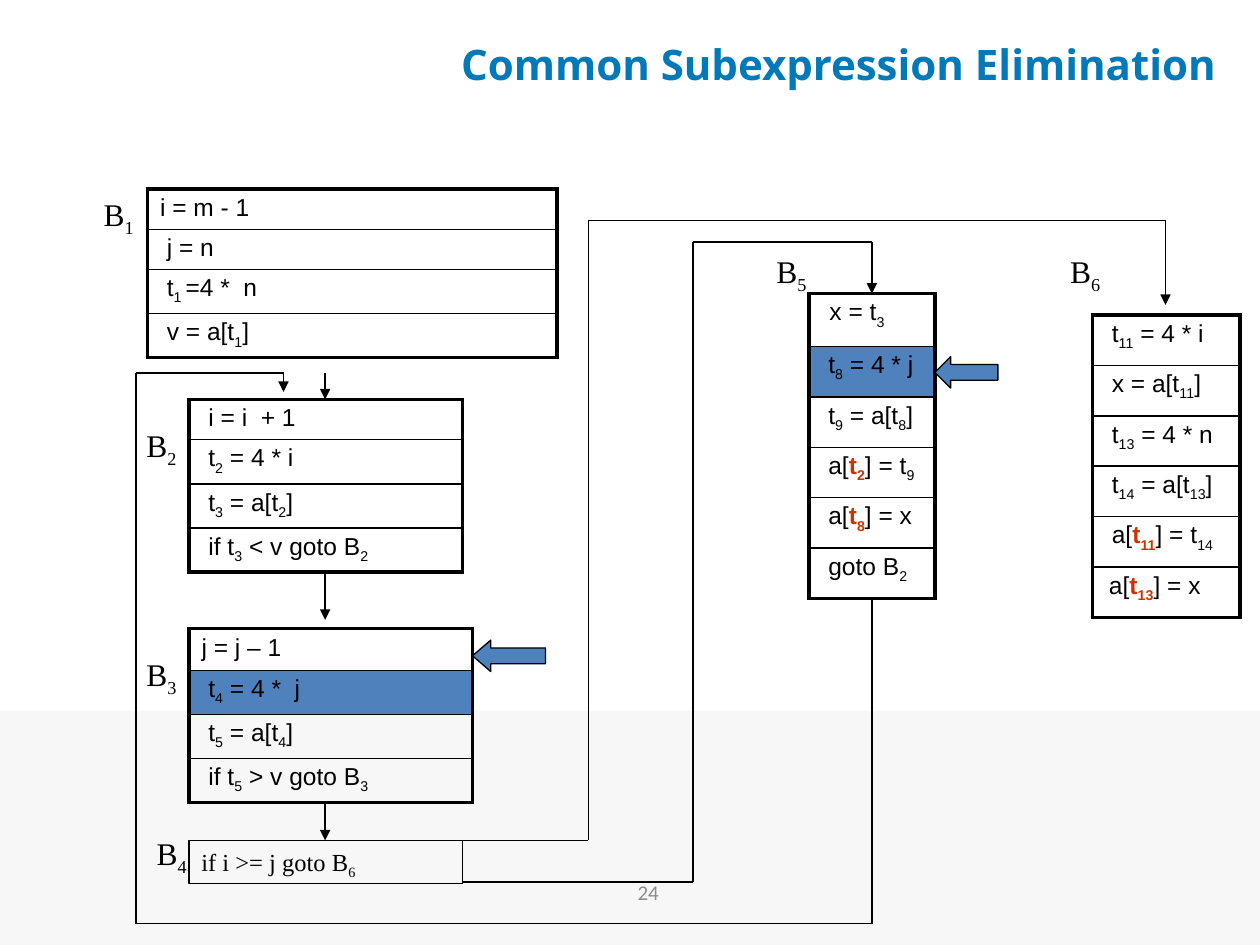
"""Build the flow graph slide on common subexpression elimination."""
from lxml import etree
from pptx import Presentation
from pptx.dml.color import RGBColor
from pptx.enum.shapes import MSO_CONNECTOR, MSO_SHAPE
from pptx.enum.text import MSO_ANCHOR, PP_ALIGN
from pptx.oxml.ns import qn
from pptx.util import Inches, Pt

STRAIGHT = MSO_CONNECTOR.STRAIGHT
RECTANGLE, LEFT_ARROW = MSO_SHAPE.RECTANGLE, MSO_SHAPE.LEFT_ARROW
TOP, MIDDLE = MSO_ANCHOR.TOP, MSO_ANCHOR.MIDDLE
LEFT, CENTER, RIGHT = PP_ALIGN.LEFT, PP_ALIGN.CENTER, PP_ALIGN.RIGHT

BLACK = RGBColor(0x00, 0x00, 0x00)
WHITE = RGBColor(0xFF, 0xFF, 0xFF)
PANEL = RGBColor(0xF7, 0xF7, 0xF7)
GREY = RGBColor(0x8C, 0x8C, 0x8C)
TITLE_BLUE = RGBColor(0x00, 0x79, 0xB8)
MARK_BLUE = RGBColor(0x4F, 0x81, 0xBD)
RED = RGBColor(0xCC, 0x33, 0x00)
SANS, SERIF = "Arial", "Times New Roman"
THIN, INNER, OUTER = 0.75, 1, 2.25
CELL_MARGIN = 0.04

SUBSCRIPT, REUSED = "~", "^"

BLOCKS = [
    dict(at=(1.17, 1.5), width=3.25, rows=[0.32, 0.32, 0.35, 0.35], white=(),
         code=["i = m - 1", " j = n", " t~1 ~=4 *  n", " v = a[t~1~]"]),
    dict(at=(1.5, 3.17), width=2.17, rows=[0.32] + [0.35] * 3, white=(2,),
         code=[" i = i  + 1", " t~2~ = 4 * i", " t~3~ = a[t~2~]",
               " if t~3~ < v goto B~2~"]),
    dict(at=(1.5, 4.99), width=2.25, rows=[0.33] + [0.35] * 3, white=(),
         code=["j = j – 1", " t~4~ = 4 *  j", " t~5~ = a[t~4~]",
               " if t~5~ > v goto B~3~"]),
    dict(at=(6.42, 2.33), width=1, rows=[0.42] + [0.4] * 5, white=(0,),
         code=["~  ~x = t~3~", " t~8~ = 4 * j", " t~9~ = a[t~8~]",
               " a[^t~2~^] = t~9~", " a[^t~8~^] = x", " goto B~2~"]),
    dict(at=(8.67, 2.5), width=1.17, rows=[0.4] * 6, white=(),
         code=[" t~11~ = 4 * i", " x = a[t~11~]", " t~13~ = 4 * n",
               " t~14~ = a[t~13~]", " a[^t~11~^] = t~14~",
               "~ ~a[^t~13~^] = x"]),
]
BRANCH = ("if i >= j goto B~6~", (1.5, 6.67, 2.17, 0.34))
LABELS = [(0.33, 1.5), (0.67, 3.33), (0.67, 5.15),
          (0.75, 6.57), (5.67, 1.95), (8, 1.95)]
HIGHLIGHTS = [(6.42, 2.75, 1, 0.4), (1.5, 5.32, 2.25, 0.35)]
POINTERS = [((3.75, 5.08, 0.58, 0.25), 0.58), ((7.42, 2.83, 0.5, 0.25), 0.5)]
ROUTES = [
    [(2.58, 2.96), (2.58, 3.17)],
    [(2.58, 4.54), (2.58, 4.92)],
    [(2.58, 6.37), (2.58, 6.67)],
    [(3.67, 6.67), (4.67, 6.67), (4.67, 1.75), (9.25, 1.75), (9.25, 2.42)],
    [(3.67, 7), (5.5, 7), (5.5, 1.92), (6.92, 1.92), (6.92, 2.33)],
    [(6.92, 4.75), (6.92, 7.33), (1.08, 7.33), (1.08, 2.96),
     (2.25, 2.96), (2.25, 3.11)],
]


def write(frame, text, size, font, color=BLACK, bold=False, align=LEFT):
    """Write marked-up text as runs, lowering subscripts and marking reused terms."""
    para = frame.paragraphs[0]
    para.alignment = align
    for i, part in enumerate(text.split(REUSED)):
        reused = i % 2 == 1
        for j, piece in enumerate(part.split(SUBSCRIPT)):
            if not piece:
                continue
            span = para.add_run()
            span.text = piece
            span.font.size, span.font.name = Pt(size), font
            span.font.bold = bold or reused
            span.font.color.rgb = RED if reused else color
            if j % 2:
                span.font._element.set("baseline", "-25000")


def add_text(page, text, at, size, font, anchor=TOP, **style):
    """Add a wrapped text box."""
    box = page.shapes.add_textbox(*map(Inches, at))
    box.text_frame.word_wrap = True
    box.text_frame.vertical_anchor = anchor
    write(box.text_frame, text, size, font, **style)


def add_box(page, kind, at, fill=None, outlined=True):
    """Add a preset shape with a flat fill and a thin outline."""
    box = page.shapes.add_shape(kind, *map(Inches, at))
    box.shadow.inherit = False
    if fill is None:
        box.fill.background()
    else:
        box.fill.solid()
        box.fill.fore_color.rgb = fill
    if outlined:
        box.line.color.rgb, box.line.width = BLACK, Pt(THIN)
    else:
        box.line.fill.background()
    return box


def add_border(cell, side, points):
    """Draw one black border of a table cell."""
    line = etree.SubElement(cell._tc.get_or_add_tcPr(), qn("a:" + side),
                            w=str(Pt(points)))
    fill = etree.SubElement(line, qn("a:solidFill"))
    etree.SubElement(fill, qn("a:srgbClr"), val=str(BLACK))


def add_block(page, at, width, rows, code, white):
    """Add a basic block as a one-column table."""
    size = (width, sum(rows))
    table = page.shapes.add_table(len(rows), 1, *map(Inches, at + size)).table
    table.first_row = table.horz_banding = False
    last = len(rows) - 1
    for i, (height, text) in enumerate(zip(rows, code)):
        table.rows[i].height = Inches(height)
        cell = table.cell(i, 0)
        cell.margin_top = cell.margin_bottom = Inches(CELL_MARGIN)
        write(cell.text_frame, text, 14, SANS)
        add_border(cell, "lnL", OUTER)
        add_border(cell, "lnR", OUTER)
        add_border(cell, "lnT", OUTER if i == 0 else INNER)
        add_border(cell, "lnB", OUTER if i == last else INNER)
        if i in white:
            cell.fill.solid()
            cell.fill.fore_color.rgb = WHITE
        else:
            cell.fill.background()


def add_route(page, points):
    """Join the points with lines and put an arrowhead on the last one."""
    for start, end in zip(points, points[1:]):
        line = page.shapes.add_connector(STRAIGHT, *map(Inches, start + end))
        line.line.color.rgb, line.line.width = BLACK, Pt(THIN)
        if end == points[-1]:
            etree.SubElement(line.line._get_or_add_ln(), qn("a:tailEnd"),
                             type="triangle")
        etree.SubElement(line._element.spPr, qn("a:effectLst"))


def main():
    """Assemble and save the slide."""
    deck = Presentation()
    deck.slide_width, deck.slide_height = Inches(10), Inches(7.5)
    page = deck.slides.add_slide(deck.slide_layouts[6])
    add_box(page, RECTANGLE, (0, 5.64, 10, 1.86), PANEL, outlined=False)
    add_text(page, "24", (3.56, 6.82, 3.17, 0.52), 12, "Calibri", MIDDLE,
             color=GREY, align=CENTER)
    for at in HIGHLIGHTS:
        add_box(page, RECTANGLE, at, MARK_BLUE)
    add_text(page, "Common Subexpression Elimination", (3.42, 0.17, 6.47, 0.67),
             24, "Open Sans", MIDDLE, color=TITLE_BLUE, bold=True, align=CENTER)
    for block in BLOCKS:
        add_block(page, **block)
    text, at = BRANCH
    branch = add_box(page, RECTANGLE, at)
    branch.text_frame.vertical_anchor = TOP
    write(branch.text_frame, text, 14, SERIF)
    for points in ROUTES:
        add_route(page, points)
    for number, at in enumerate(LABELS, 1):
        add_text(page, f"B~{number}~", at + (0.83, 0.44), 18, SERIF, align=RIGHT)
    for at, head in POINTERS:
        pointer = add_box(page, LEFT_ARROW, at, MARK_BLUE)
        pointer.adjustments[0], pointer.adjustments[1] = 0.5, head
    deck.save("out.pptx")


if __name__ == "__main__":
    main()
